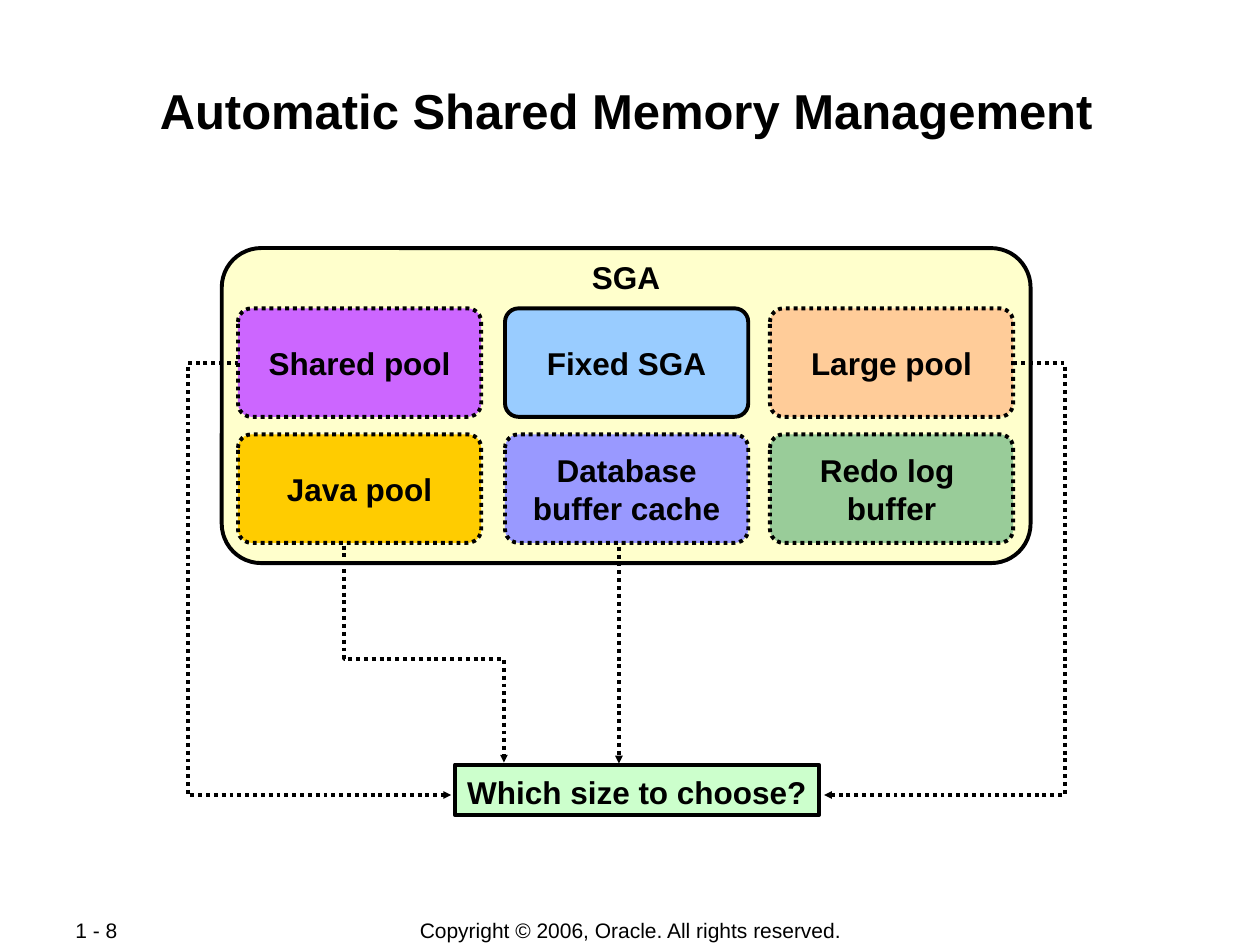
from lxml import etree
from pptx import Presentation
from pptx.dml.color import RGBColor
from pptx.enum.dml import MSO_LINE
from pptx.enum.shapes import MSO_CONNECTOR, MSO_SHAPE
from pptx.enum.text import MSO_ANCHOR, PP_ALIGN
from pptx.oxml.ns import qn
from pptx.util import Pt

ROUND, RECT = MSO_SHAPE.ROUNDED_RECTANGLE, MSO_SHAPE.RECTANGLE
DOT = MSO_LINE.ROUND_DOT
TOP, MIDDLE = MSO_ANCHOR.TOP, MSO_ANCHOR.MIDDLE
LEFT, CENTER = PP_ALIGN.LEFT, PP_ALIGN.CENTER


def color(value):
    return RGBColor.from_string(value)


def write(s, text, size=18, bold=True, align=CENTER, anchor=MIDDLE, spacing=None, **frame):
    """Fill the text frame of s; frame holds further text frame attributes."""
    tf = s.text_frame
    tf.text = text
    settings = dict(word_wrap=False, vertical_anchor=anchor) | frame
    for name, value in settings.items():
        setattr(tf, name, value)
    for p in tf.paragraphs:
        p.alignment = align
        if spacing:
            p.line_spacing = spacing
        for r in p.runs:
            for name, value in dict(name="Arial", size=Pt(size), bold=bold).items():
                setattr(r.font, name, value)
            r.font.color.rgb = color("000000")


prs = Presentation()
prs.slide_width, prs.slide_height = Pt(720), Pt(540)
shapes = prs.slides.add_slide(prs.slide_layouts[6]).shapes

# Title, SGA heading and footer
labels = [
    ((69.8, 45, 576, 66), "Automatic Shared Memory Management",
     dict(size=28, anchor=TOP, word_wrap=True, margin_left=Pt(1), margin_right=Pt(1),
          margin_top=Pt(1), margin_bottom=Pt(1))),
    ((36, 524.2, 76.3, 14.4), "1 - 8", dict(size=12, bold=False, align=LEFT)),
    ((198.7, 524.2, 323.3, 15.1), "Copyright © 2006, Oracle. All rights reserved.",
     dict(size=12, bold=False)),
    ((264.2, 148.3, 187.2, 23), "SGA",
     dict(anchor=TOP, word_wrap=True, spacing=0.85, margin_top=Pt(2.2), margin_bottom=Pt(2.2))),
]

# Boxes: kind, bounds, fill, dotted outline, text
boxes = [
    (ROUND, (126.7, 141.8, 462.2, 180), "FFFFCC", False, ""),
    (RECT, (259.9, 437, 208.1, 28.8), "CCFFCC", False, "Which size to choose?"),
]
pools = [
    [("Shared pool", "CC66FF"), ("Fixed SGA", "99CCFF"), ("Large pool", "FFCC99")],
    [("Java pool", "FFCC00"), ("Database\nbuffer cache", "9999FF"), ("Redo log \nbuffer", "99CC99")],
]
for y, row in zip((176.2, 248.2), pools):
    for x, (text, fill) in zip((136, 288.6, 440), row):
        boxes.append((ROUND, (x, y, 139, 62), fill, text != "Fixed SGA", text))

# Dotted arrows from the pools to the question
routes = [
    [(145.4, 207.4), (107.2, 207.4), (107.2, 454.3), (257.8, 454.3)],
    [(570.2, 207.4), (608.4, 207.4), (608.4, 454.3), (470.9, 454.3)],
    [(196.6, 311.8), (196.6, 376.6), (288, 376.6), (288, 435.8)],
    [(353.7, 312.5), (353.7, 436.3)],
]


def draw_route(points):
    points = [(Pt(x), Pt(y)) for x, y in points]
    if len(points) == 2:
        s = shapes.add_connector(MSO_CONNECTOR.STRAIGHT, *points[0], *points[1])
        etree.SubElement(s._element.spPr, qn("a:effectLst"))
    else:
        builder = shapes.build_freeform(*points[0])
        builder.add_line_segments(points[1:], close=False)
        s = builder.convert_to_shape()
        s.shadow.inherit = False
        s.fill.background()
    s.line.color.rgb = color("000000")
    s.line.width = Pt(2.25)
    s.line.dash_style = DOT
    ln = s._element.spPr.find(qn("a:ln"))
    etree.SubElement(ln, qn("a:tailEnd"), type="triangle", w="sm", len="sm")


for i, (kind, bounds, fill, dotted, text) in enumerate(boxes):
    s = shapes.add_shape(kind, *map(Pt, bounds))
    s.shadow.inherit = False
    s.fill.solid()
    s.fill.fore_color.rgb = color(fill)
    s.line.color.rgb = color("000000")
    s.line.width = Pt(2.25)
    if dotted:
        s.line.dash_style = DOT
    if kind == ROUND:
        s.adjustments[0] = 0.125
    if text:
        write(s, text, margin_top=Pt(6 if kind == RECT else 3.6))
    if i == 0:  # the arrows lie above the SGA panel and below the pools
        for points in routes:
            draw_route(points)

for bounds, text, style in labels:
    write(shapes.add_textbox(*map(Pt, bounds)), text, **style)

prs.save("out.pptx")
